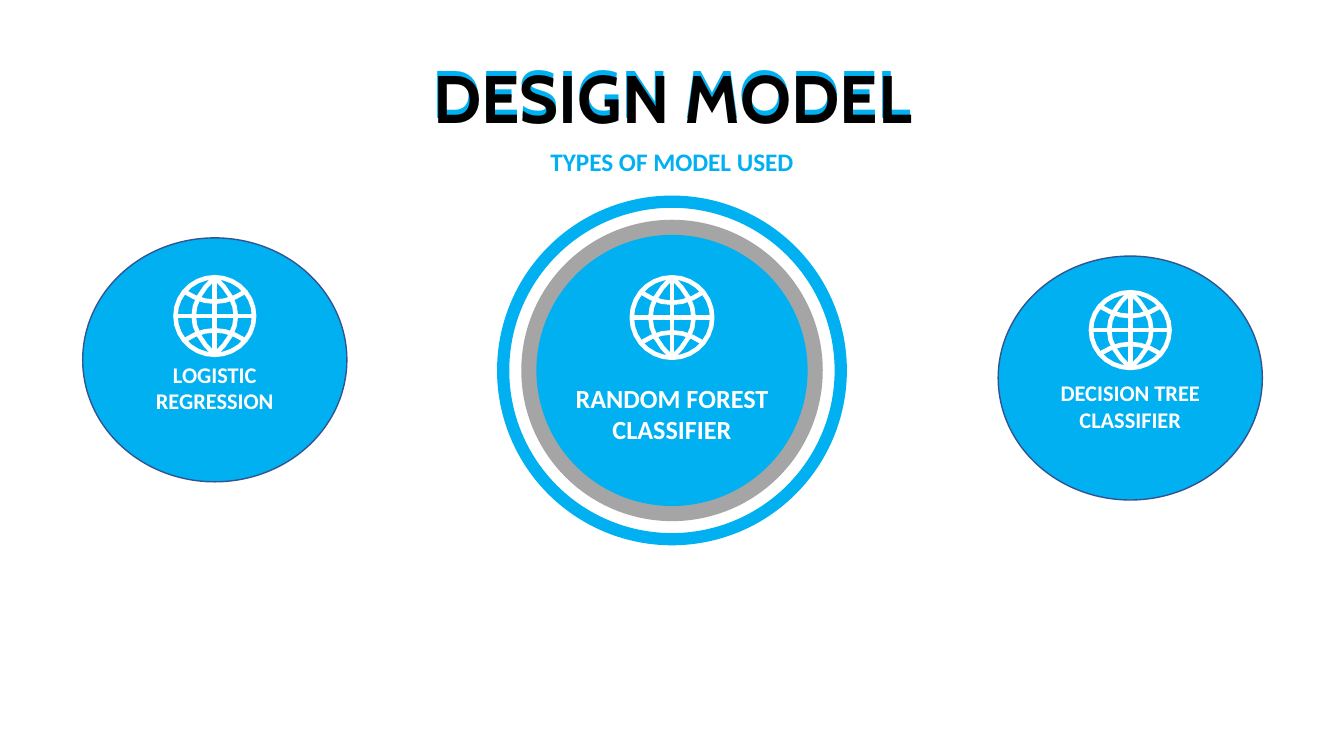
from math import cos, pi, sin

from pptx import Presentation
from pptx.dml.color import RGBColor
from pptx.enum import shapes as kinds, text as txt
from pptx.util import Inches, Pt

BLUE = RGBColor(0x00, 0xB0, 0xF0)
NAVY = RGBColor(0x32, 0x54, 0x91)
GRAY = RGBColor(0xA5, 0xA5, 0xA5)
WHITE = RGBColor(0xFF, 0xFF, 0xFF)
BLACK = RGBColor(0x00, 0x00, 0x00)

RIM = 0.95


def globe_strokes():
    rim = [(RIM * cos(pi * k / 14), RIM * sin(pi * k / 14)) for k in range(29)]
    strokes = [rim, [(-RIM, 0), (RIM, 0)], [(0, -RIM), (0, RIM)]]
    for side in (1, -1):
        heights = [RIM * k / 4 for k in range(-4, 5)]
        strokes.append([(side * 0.51 * (1 - (y / RIM) ** 2), y) for y in heights])
        offsets = [0.73 * k / 3 for k in range(-3, 4)]
        strokes.append([(x, side * (0.35 + 0.46 * x * x)) for x in offsets])
    return strokes


def add_globe(page, left, top, width, height):
    def place(points):
        return [(Inches(left + (1 + x) * width / 2), Inches(top + (1 + y) * height / 2))
                for x, y in points]

    rim, *inner = map(place, globe_strokes())
    builder = page.shapes.build_freeform(*rim[0], scale=1.0)
    builder.add_line_segments(rim[1:-1], close=True)
    for stroke in inner:
        builder.move_to(*stroke[0])
        builder.add_line_segments(stroke[1:], close=False)
    globe = builder.convert_to_shape()
    globe.shadow.inherit = False
    globe.fill.background()
    globe.line.color.rgb = WHITE
    globe.line.width = Pt(3.3)


def write(shape, content, size, color, font="Calibri",
          anchor=txt.MSO_ANCHOR.MIDDLE, spacing=None):
    frame = shape.text_frame
    frame.word_wrap = True
    frame.vertical_anchor = anchor
    for index, line in enumerate(content.split("\n")):
        para = frame.paragraphs[0] if index == 0 else frame.add_paragraph()
        para.alignment = txt.PP_ALIGN.CENTER
        if spacing:
            para.line_spacing = spacing
        span = para.add_run()
        span.text = line
        span.font.name = font
        span.font.size = Pt(size)
        span.font.bold = True
        span.font.color.rgb = color


def add_label(page, box, content, size, color, **style):
    write(page.shapes.add_textbox(*map(Inches, box)), content, size, color, **style)


def add_round(page, kind, box, fill, line=None):
    shape = page.shapes.add_shape(kind, *map(Inches, box))
    shape.shadow.inherit = False
    shape.fill.solid()
    shape.fill.fore_color.rgb = fill
    if line is None:
        shape.line.fill.background()
    else:
        shape.line.color.rgb = line
        shape.line.width = Pt(1)
    return shape


def add_heading(page, left, top, width):
    add_label(page, (left, top, width, 1), "DESIGN MODEL", 48, BLUE,
              font="Cabin", spacing=0.9)
    add_label(page, (left, top + 1.01, width, 0.31), "TYPES OF MODEL USED", 18, BLUE,
              spacing=0.9)


def add_heading_overlay(page, left, top, width):
    add_label(page, (left, top, width, 0.91), "DESIGN MODEL", 48, BLACK,
              font="Cabin", anchor=txt.MSO_ANCHOR.TOP)


def add_main_model(page, left, top, size, content):
    oval, donut = kinds.MSO_SHAPE.OVAL, kinds.MSO_SHAPE.DONUT
    for kind, inset, color in ((oval, 0.24, GRAY), (oval, 0.39, BLUE), (donut, 0, BLUE)):
        side = size - 2 * inset
        ring = add_round(page, kind, (left + inset, top + inset, side, side), color)
    ring.adjustments[0] = 0.035
    add_globe(page, left + (size - 0.84) / 2, top + 0.79, 0.84, 0.84)
    add_label(page, (left + 0.59, top + 1.8, 2.29, 0.73), content, 18.7, WHITE,
              anchor=txt.MSO_ANCHOR.TOP)


def add_side_model(page, left, top, content, globe_drop, globe_height):
    width, height = 2.62, 2.42
    oval = add_round(page, kinds.MSO_SHAPE.OVAL, (left, top, width, height), BLUE, NAVY)
    oval.text_frame.margin_top = Inches(0.6)
    write(oval, content, 16, WHITE)
    add_globe(page, left + (width - 0.82) / 2, top + globe_drop, 0.82, globe_height)


def main():
    deck = Presentation()
    deck.slide_width, deck.slide_height = Inches(13.33), Inches(7.5)
    page = deck.slides.add_slide(deck.slide_layouts[6])
    add_heading(page, 0, 0.46, 13.33)
    add_main_model(page, 4.93, 1.94, 3.47, "RANDOM FOREST CLASSIFIER")
    add_side_model(page, 9.9, 2.54, "DECISION TREE CLASSIFIER", 0.34, 0.79)
    add_side_model(page, 0.82, 2.36, "LOGISTIC\nREGRESSION", 0.37, 0.81)
    add_heading_overlay(page, 0.57, 0.51, 12.2)
    deck.save("out.pptx")


if __name__ == "__main__":
    main()
